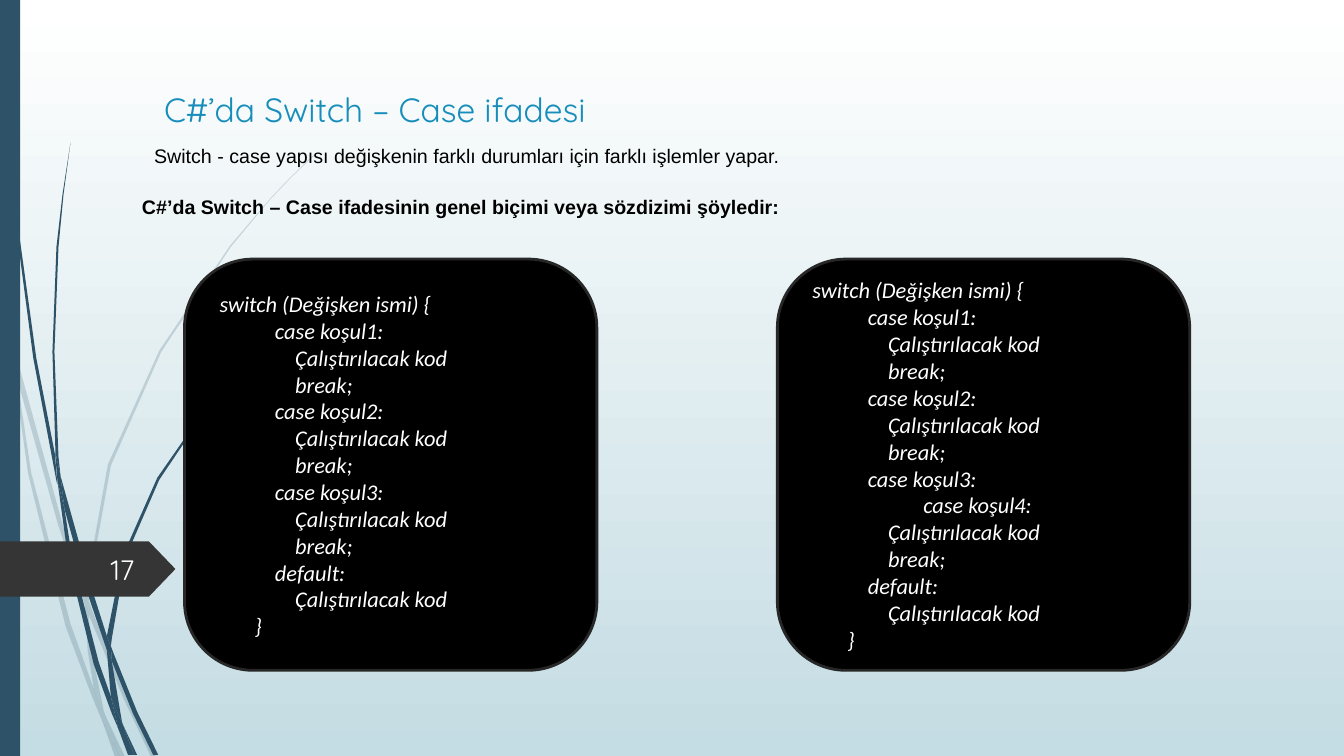
from lxml import etree
from pptx import Presentation, util as u
from pptx.dml.color import RGBColor
from pptx.enum import shapes, text
from pptx.oxml.ns import qn

WIDTH, HEIGHT = 13.33, 7.5
COLORS = {
    "sky_top": "FFFFFF", "sky_bottom": "C4DCE3", "stem": "2E5369",
    "tag": "353535", "page_number": "FEFFFF", "title": "168DBA",
    "body": "000000", "panel": "000000", "panel_edge": "272727",
    "code": "FFFFFF",
}

# Each blade of grass is a closed outline, in inches on the slide.
FAINT_BLADES = [
    [(0.11, 3.5), (0.09, 3.22), (0, 2.82), (0, 2.99), (0.1, 3.44)],
    [(0.58, 5.22), (0.84, 5.99), (0.85, 5.86), (0.62, 5.2), (0.14, 3.45),
     (0.17, 3.76)],
    [(0.92, 6.07), (0.88, 5.96), (0.88, 6.1), (1.23, 6.94), (1.5, 7.51),
     (1.55, 7.51), (1.27, 6.92)],
    [(1.19, 7.51), (1.24, 7.51), (1.05, 7.11)],
    [(0.93, 6.83), (0.7, 6.19), (0.31, 4.69), (0.17, 3.76), (0.11, 3.5),
     (0.28, 4.7), (0.65, 6.21), (0.92, 6.93), (1.01, 7.14), (0.99, 7.07)],
    [(0.84, 5.99), (0.87, 6.46), (0.93, 6.83), (0.96, 6.92), (1.05, 7.11),
     (1.03, 7.06), (0.91, 6.46), (0.88, 6.1), (0.88, 6.08)],
    [(0.88, 5.84), (1.1, 4.62), (1.6, 3.49), (2.29, 2.45), (2.68, 1.98),
     (2.9, 1.75), (3.12, 1.54), (3.12, 1.53), (2.89, 1.75), (2.68, 1.97),
     (2.28, 2.44), (1.58, 3.48), (1.07, 4.61), (0.85, 5.84), (0.85, 5.86),
     (0.88, 5.96)],
    [(1.01, 7.14), (1.14, 7.51), (1.19, 7.51)],
    [(0.88, 6.08), (0.88, 6.1), (0.88, 5.96), (0.85, 5.86), (0.84, 5.99)],
    [(0.96, 6.92), (0.93, 6.83), (0.99, 7.07), (1.01, 7.14), (1.19, 7.51),
     (1.05, 7.11)],
]
DARK_BLADES = [
    [(0.07, 1.1), (0.17, 2.33), (0.33, 3.55), (0.56, 4.77), (0.57, 4.81),
     (0.55, 4.57), (0.55, 4.53), (0.36, 3.55), (0.19, 2.32), (0.08, 1.09),
     (0.05, 0.48), (0.04, 0), (0.03, 0), (0.04, 0.48)],
    [(0.88, 5.92), (1.06, 6.45), (1.06, 6.33), (1.06, 6.31), (0.93, 5.9),
     (0.6, 4.72), (0.64, 5.05)],
    [(1.13, 6.49), (1.1, 6.41), (1.11, 6.56), (1.32, 7.08), (1.52, 7.49),
     (1.57, 7.49), (1.36, 7.06)],
    [(1.1, 6.91), (0.98, 6.57), (0.72, 5.56), (0.64, 5.05), (0.57, 4.77),
     (0.68, 5.57), (0.93, 6.59), (1.11, 7.08), (1.17, 7.22), (1.16, 7.17)],
    [(0.6, 4.72), (0.58, 4.53), (0.54, 3.49), (0.58, 2.45), (0.63, 1.93),
     (0.7, 1.41), (0.62, 1.93), (0.56, 2.45), (0.52, 3.49), (0.55, 4.49)],
    [(1.33, 7.49), (1.36, 7.49), (1.22, 7.19)],
    [(0.57, 4.77), (0.64, 5.05), (0.6, 4.72), (0.55, 4.49), (0.55, 4.53)],
    [(1.11, 6.33), (1.25, 5.52), (1.58, 4.76), (2.05, 4.06), (2.31, 3.74),
     (2.45, 3.59), (2.61, 3.44), (2.6, 3.44), (2.45, 3.58), (2.31, 3.73),
     (2.04, 4.05), (1.56, 4.74), (1.22, 5.51), (1.06, 6.31), (1.1, 6.41)],
    [(1.17, 7.22), (1.27, 7.49), (1.31, 7.49)],
    [(1.06, 6.45), (1.1, 6.91), (1.16, 7.06), (1.22, 7.19), (1.21, 7.16),
     (1.11, 6.56), (1.09, 6.51)],
    [(1.06, 6.45), (1.09, 6.51), (1.11, 6.56), (1.1, 6.41), (1.06, 6.31),
     (1.06, 6.33)],
    [(1.16, 7.06), (1.1, 6.91), (1.16, 7.17), (1.17, 7.22), (1.3, 7.49),
     (1.33, 7.49), (1.22, 7.19)],
]

OPENING = " switch (Değişken ismi) {"
BODY = ["                Çalıştırılacak kod", "                break;"]
CASES = [f"            case koşul{number}:" for number in (1, 2, 3)]
CLOSING = ["            default:", BODY[0], "        }"]
START = [OPENING, CASES[0], *BODY, CASES[1], *BODY, CASES[2]]
SINGLE_CASES = [*START, *BODY, *CLOSING]
SHARED_CASES = [*START, "\t   case koşul4:", *BODY, *CLOSING]


def color(name):
    return RGBColor.from_string(COLORS[name])


def inches(box):
    return [u.Inches(length) for length in box]


def paint(shape, fill, line=None):
    shape.shadow.inherit = False
    shape.fill.solid()
    shape.fill.fore_color.rgb = color(fill)
    if line:
        shape.line.color.rgb = color(line)
        shape.line.width = u.Pt(2)
    else:
        shape.line.fill.background()


def add_tab_stop(para, position):
    stops = etree.SubElement(para._p.get_or_add_pPr(), qn("a:tabLst"))
    etree.SubElement(stops, qn("a:tab"), pos=str(u.Inches(position)), algn="l")


def write(shape, lines, font="Arial", size=14, ink="body", bold=False,
          italic=False, align=text.PP_ALIGN.LEFT, anchor=text.MSO_ANCHOR.TOP):
    frame = shape.text_frame
    frame.word_wrap = True
    frame.vertical_anchor = anchor
    for index, line in enumerate(lines):
        para = frame.paragraphs[0] if index == 0 else frame.add_paragraph()
        para.alignment = align
        if "\t" in line:
            add_tab_stop(para, 1)
        span = para.add_run()
        span.text = line
        span.font.name = font
        span.font.size = u.Pt(size)
        span.font.bold = bold
        span.font.italic = italic
        span.font.color.rgb = color(ink)


def add_text(page, box, line, **style):
    write(page.shapes.add_textbox(*inches(box)), [line], **style)


def draw_blades(page, blades, opacity=100):
    for outline in blades:
        points = [inches(point) for point in outline]
        builder = page.shapes.build_freeform(*points[0])
        builder.add_line_segments(points[1:], close=True)
        blade = builder.convert_to_shape()
        paint(blade, "stem")
        if opacity < 100:
            tint = blade.fill._xPr.find(".//" + qn("a:srgbClr"))
            etree.SubElement(tint, qn("a:alpha"), val=str(opacity * 1000))


def draw_background(page):
    fill = page.background.fill
    fill.gradient()
    fill.gradient_angle = 270
    for stop, name in zip(fill.gradient_stops, ("sky_top", "sky_bottom")):
        stop.color.rgb = color(name)


def draw_side_bar(page, box):
    bar = page.shapes.add_shape(shapes.MSO_SHAPE.RECTANGLE, *inches(box))
    paint(bar, "stem")


def draw_page_tag(page, box, number):
    left, top, width, height = box
    tag = page.shapes.add_shape(shapes.MSO_SHAPE.PENTAGON, *inches(box))
    tag.adjustments[0] = 0.48
    paint(tag, "tag")
    add_text(page, (left + width / 3, top + 0.08, width * 0.49, 0.4), number,
             font="Quicksand", size=20, ink="page_number",
             align=text.PP_ALIGN.RIGHT, anchor=text.MSO_ANCHOR.MIDDLE)


def draw_heading(page, box):
    left, top, width, height = box
    add_text(page, box, "C#’da Switch – Case ifadesi",
             font="Quicksand", size=24, ink="title")
    add_text(page, (left - 0.1, top + 0.55, width * 0.8, height * 0.7),
             "Switch - case yapısı değişkenin farklı durumları için farklı işlemler yapar.")
    add_text(page, (left - 0.22, top + 1.05, width * 0.95, 0.34),
             "C#’da Switch – Case ifadesinin genel biçimi veya sözdizimi şöyledir:",
             bold=True)


def draw_code_panel(page, box, lines):
    panel = page.shapes.add_shape(shapes.MSO_SHAPE.ROUNDED_RECTANGLE, *inches(box))
    paint(panel, "panel", line="panel_edge")
    write(panel, lines, font="Calibri", size=16, ink="code", italic=True,
          anchor=text.MSO_ANCHOR.MIDDLE)


def main():
    deck = Presentation()
    deck.slide_width, deck.slide_height = inches((WIDTH, HEIGHT))
    page = deck.slides.add_slide(deck.slide_layouts[6])
    draw_background(page)
    draw_blades(page, FAINT_BLADES, opacity=20)
    draw_blades(page, DARK_BLADES)
    draw_side_bar(page, (0, 0, 0.2, HEIGHT))
    draw_page_tag(page, (0, 5.37, 1.74, 0.55), "17")
    draw_heading(page, (1.53, 0.83, 10.88, 1.45))
    for column, lines in enumerate((SINGLE_CASES, SHARED_CASES)):
        draw_code_panel(page, (1.83 + column * 5.88, 2.57, 4.09, 4.08), lines)
    deck.save("out.pptx")


if __name__ == "__main__":
    main()
